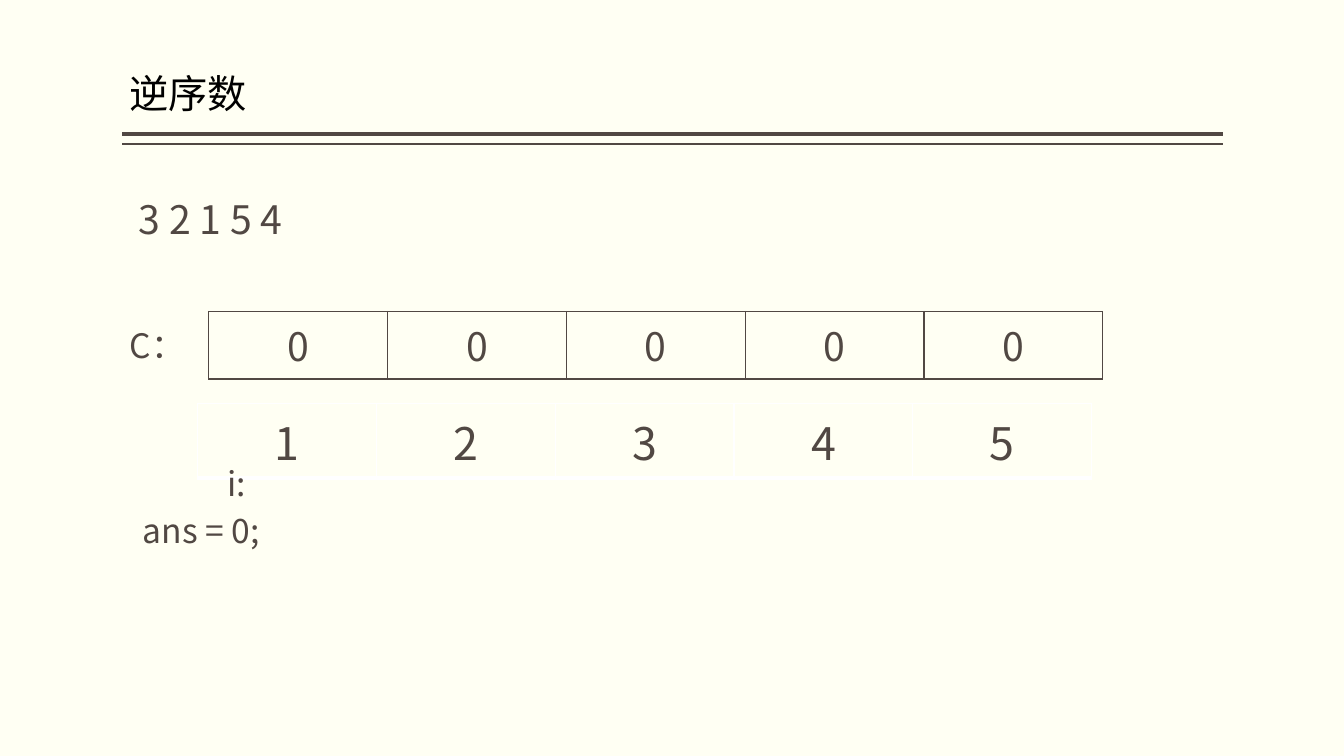
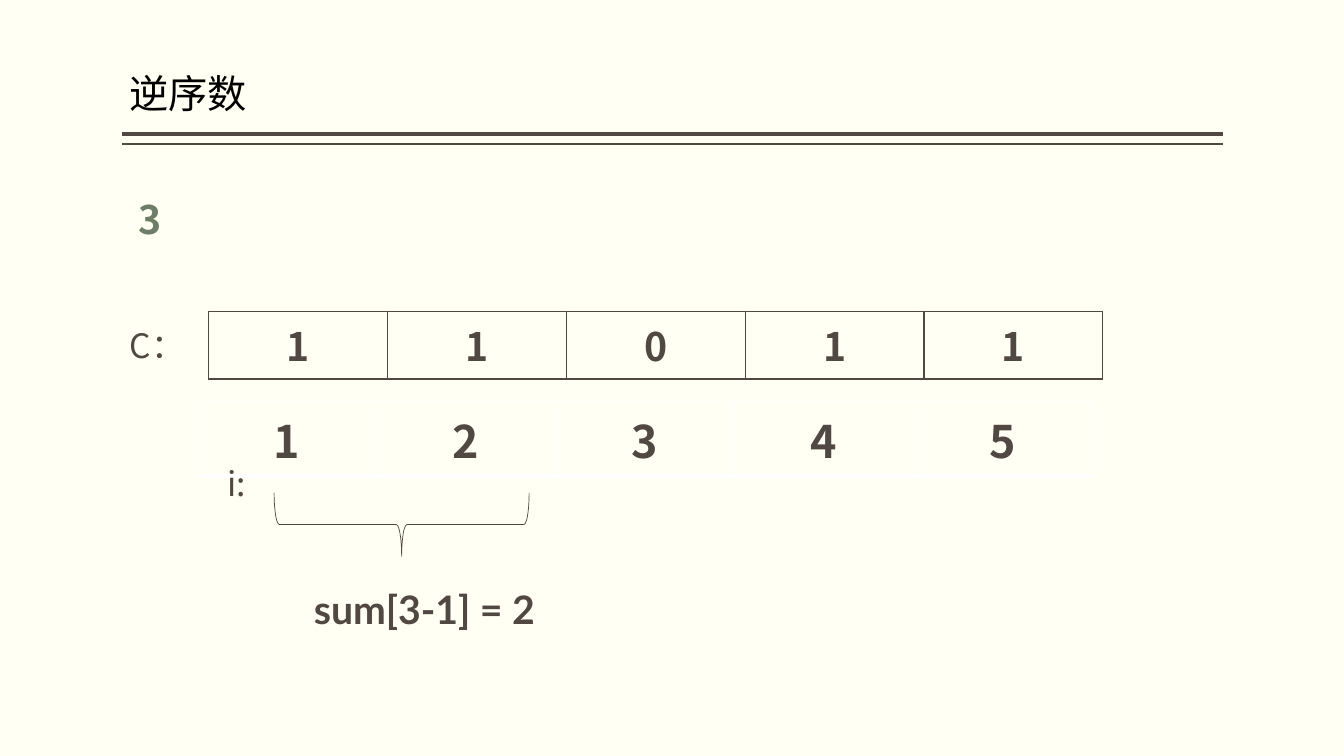
from lxml import etree
from pptx import Presentation
from pptx.dml.color import RGBColor
from pptx.enum.shapes import MSO_CONNECTOR, MSO_SHAPE
from pptx.enum.text import MSO_ANCHOR, MSO_AUTO_SIZE, PP_ALIGN
from pptx.oxml.ns import qn
from pptx.util import Inches, Pt

LEFT, CENTER = PP_ALIGN.LEFT, PP_ALIGN.CENTER
BOTTOM = MSO_ANCHOR.BOTTOM
GROW, FIXED = MSO_AUTO_SIZE.SHAPE_TO_FIT_TEXT, MSO_AUTO_SIZE.NONE
STRAIGHT, BRACE = MSO_CONNECTOR.STRAIGHT, MSO_SHAPE.RIGHT_BRACE

WIDTH, HEIGHT = Inches(13.33), Inches(7.5)
PAPER, INK, BLACK, WHITE = "FFFFF3", "514843", "000000", "FFFFFF"
GREEN, BRACE_INK = "6D7D66", "504641"
SANS, LATIN = "Noto Sans CJK SC", "Lato"

TITLE_AREA = (9.6, 7.87, 73.73, 8.27)
RULE_LEFT, RULE_RIGHT = 9.08, 90.97
RULES = ((17.73, 3), (19.07, 1))
CELLS_WIDTH, CELLS_HEIGHT = 66.53, 8.93
INDEXES = "12345"


def color(value):
    return RGBColor.from_string(value)


def across(share):
    return round(WIDTH * share / 100)


def down(share):
    return round(HEIGHT * share / 100)


def area(left, top, width, height):
    return across(left), down(top), across(width), down(height)


def style(para, size, ink=INK, bold=False, face=SANS, align=LEFT):
    para.alignment = align
    font = para.font
    font.size, font.bold, font.name = Pt(size), bold, face
    font.color.rgb = color(ink)
    defaults = para._p.pPr.find(qn("a:defRPr"))
    etree.SubElement(defaults, qn("a:ea")).set("typeface", face)


def add_rule(page, layout, top, weight):
    rule = page.shapes.add_connector(
        STRAIGHT, across(RULE_RIGHT), down(top), across(RULE_LEFT), down(top))
    rule.line.color.rgb = color(INK)
    rule.line.width = Pt(weight)
    etree.SubElement(rule.element.spPr, qn("a:effectLst"))
    layout.shapes.element.append(rule.element)


def set_up_layout(layout, page):
    title = layout.placeholders[0]
    title.left, title.top, title.width, title.height = area(*TITLE_AREA)
    for top, weight in RULES:
        add_rule(page, layout, top, weight)


def add_title(page, text):
    frame = page.shapes.title.text_frame
    frame.text = text
    frame.vertical_anchor = BOTTOM
    frame.auto_size = FIXED
    frame.margin_left = frame.margin_right = 0
    frame.paragraphs[0].line_spacing = 0.9
    style(frame.paragraphs[0], 28, BLACK)


def add_text(page, text, place, size, **look):
    frame = page.shapes.add_textbox(*area(*place)).text_frame
    frame.word_wrap = True
    frame.auto_size = GROW
    frame.text = text
    style(frame.paragraphs[0], size, **look)


def add_border(cell, side, ink, weight):
    border = etree.SubElement(
        cell._tc.get_or_add_tcPr(), qn(f"a:ln{side}"), w=str(Pt(weight)))
    fill = etree.SubElement(border, qn("a:solidFill"))
    etree.SubElement(fill, qn("a:srgbClr"), val=ink)


def add_cells(page, values, left, top, size, ink, bottom, bold):
    place = area(left, top, CELLS_WIDTH, CELLS_HEIGHT)
    table = page.shapes.add_table(1, len(values), *place).table
    table.first_row = table.horz_banding = False
    for cell, value in zip(table.iter_cells(), values):
        for side, weight in zip("LRTB", (1, 1, 1, bottom)):
            add_border(cell, side, ink, weight)
        cell.fill.background()
        cell.text = value
        style(cell.text_frame.paragraphs[0], size, bold=bold, align=CENTER)


def add_brace(page, place):
    brace = page.shapes.add_shape(BRACE, *area(*place))
    brace.rotation = 90
    brace.shadow.inherit = False
    brace.fill.background()
    brace.line.color.rgb = color(BRACE_INK)
    brace.line.width = Pt(0.5)


def add_array_page(page, sequence, counts, index_top, sequence_ink, bold):
    add_title(page, "逆序数")
    add_cells(page, counts, 15.53, 41.2, 28, INK, 1, bold)
    add_cells(page, INDEXES, 14.7, index_top, 32, WHITE, 3, bold)
    add_text(page, sequence, (9.6, 25.2, 67.4, 7.6), 28,
             ink=sequence_ink, bold=bold)
    add_text(page, "C：", (8.93, 42.27, 7.5, 6.67), 24)
    add_text(page, "i:", (16.2, 60.53, 6.2, 6.67), 24)


def main():
    deck = Presentation()
    deck.slide_width, deck.slide_height = WIDTH, HEIGHT
    background = deck.slide_master.background.fill
    background.solid()
    background.fore_color.rgb = color(PAPER)
    layout = deck.slide_layouts[5]

    start = deck.slides.add_slide(layout)
    set_up_layout(layout, start)
    add_array_page(start, "3 2 1 5 4", "00000", 53.33, INK, False)
    add_text(start, "ans = 0;", (9.9, 66.8, 67.6, 6.67), 24)

    query = deck.slides.add_slide(layout)
    add_array_page(query, "3", "11011", 53.07, GREEN, True)
    add_brace(query, (27.52, 52.53, 4.72, 33.73))
    add_text(query, "sum[3-1] = 2", (19.05, 76.8, 25.05, 7.6), 28,
             bold=True, face=LATIN, align=CENTER)

    deck.save("out.pptx")


if __name__ == "__main__":
    main()
